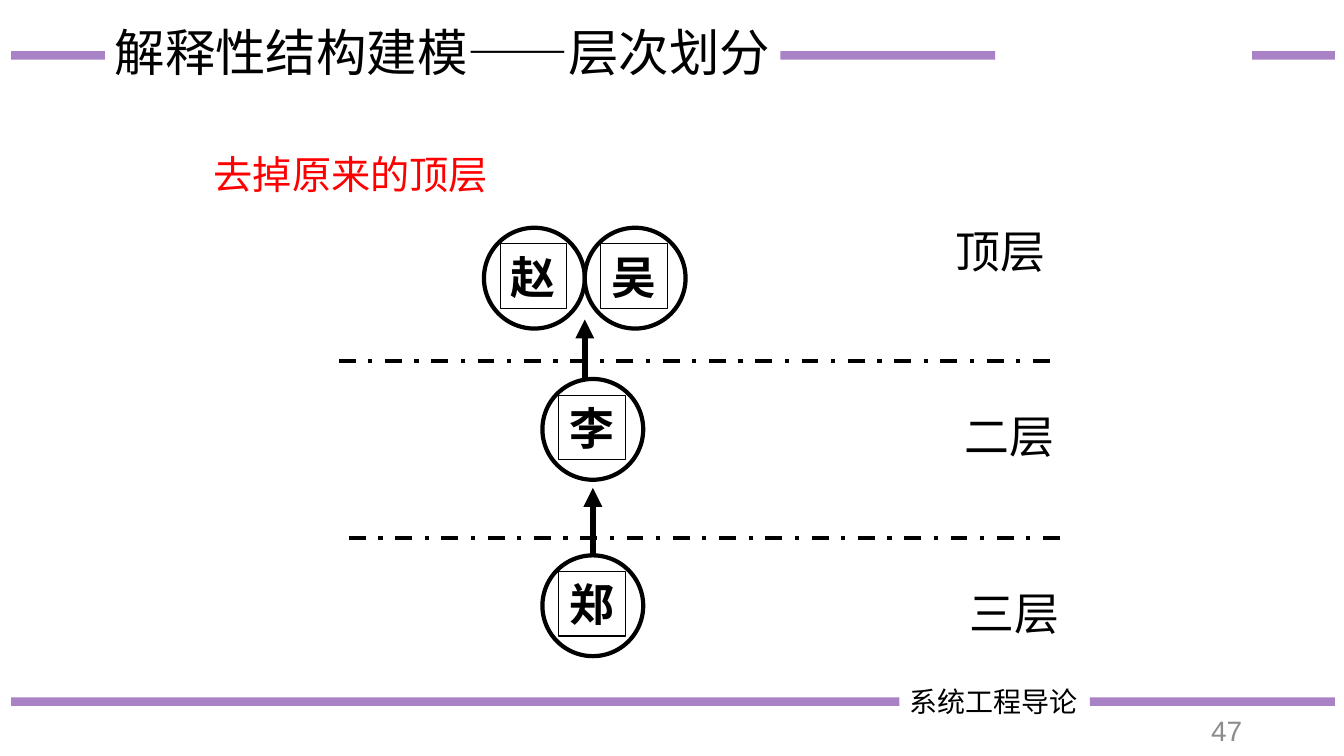
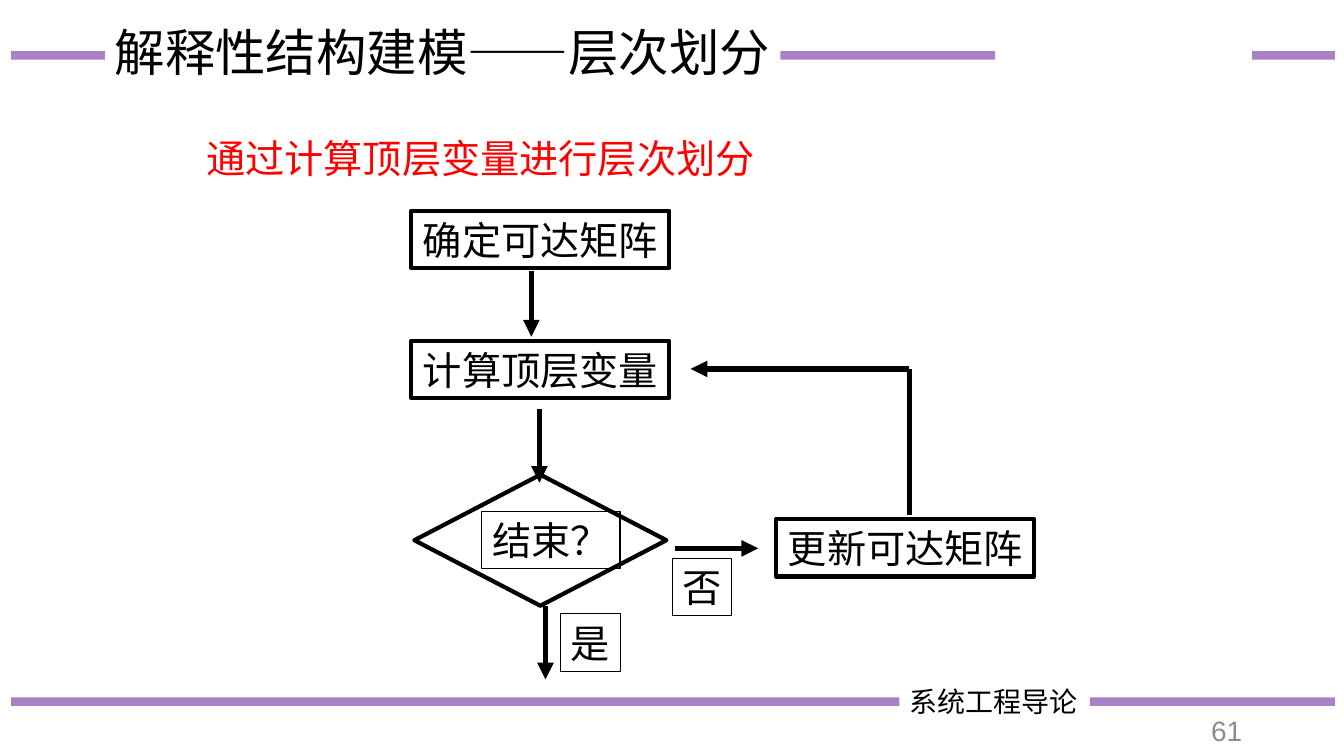
from pptx import Presentation
from pptx.dml.color import RGBColor
from pptx.enum.dml import MSO_LINE
from pptx.enum.shapes import MSO_CONNECTOR, MSO_SHAPE
from pptx.enum.text import MSO_ANCHOR, PP_ALIGN
from pptx.oxml.ns import qn
from pptx.util import Inches, Pt
from lxml.etree import SubElement

# Shared look
CJK_FONT = "Noto Sans CJK SC"
NUMBER_FONT = "Arial"
BLACK, RED, GREY, PURPLE = "000000", "FF0000", "8C8C8C", "7030A0"
TITLE = "解释性结构建模——层次划分"
COURSE = "系统工程导论"
TITLE_Y, FOOTER_Y = 0.55, 6.96
BANDS = [
    (0.11, 1.04, TITLE_Y), (7.74, 9.87, TITLE_Y), (12.42, 13.24, TITLE_Y),
    (0.11, 8.92, FOOTER_Y), (10.81, 13.24, FOOTER_Y),
]


def color(hex_string):
    return RGBColor.from_string(hex_string)


def write(shape, text, size, ink=BLACK, font=CJK_FONT, bold=False,
          align=PP_ALIGN.CENTER, wrap=False):
    frame = shape.text_frame
    frame.text = text
    frame.word_wrap = wrap
    frame.vertical_anchor = MSO_ANCHOR.MIDDLE
    paragraph = frame.paragraphs[0]
    paragraph.alignment = align
    for run in paragraph.runs:
        run.font.size = Pt(size)
        run.font.bold = bold
        run.font.color.rgb = color(ink)
        run.font.name = font
        SubElement(run.font._element, qn("a:ea")).set("typeface", font)
    return paragraph


def add_label(slide, box, text, size, **style):
    label = slide.shapes.add_textbox(*map(Inches, box))
    return write(label, text, size, **style)


def add_outline(slide, kind, box, width, text="", size=28, bold=False):
    outline = slide.shapes.add_shape(kind, *map(Inches, box))
    outline.shadow.inherit = False
    outline.fill.background()
    outline.line.color.rgb = color(BLACK)
    outline.line.width = Pt(width)
    if text:
        write(outline, text, size, bold=bold)
    return outline


def add_line(slide, start, end, width, ink=BLACK, dash=None, opacity=None,
             arrow=False):
    line = slide.shapes.add_connector(
        MSO_CONNECTOR.STRAIGHT, *map(Inches, (*start, *end)))
    line.line.color.rgb = color(ink)
    line.line.width = Pt(width)
    if dash:
        line.line.dash_style = dash
    properties = line._element.spPr
    if opacity:
        rgb = properties.find(".//" + qn("a:srgbClr"))
        SubElement(rgb, qn("a:alpha")).set("val", str(opacity * 1000))
    if arrow:
        SubElement(properties.find(qn("a:ln")), qn("a:tailEnd")).set("type", "triangle")
    SubElement(properties, qn("a:effectLst"))
    return line


def add_person(slide, left, top, name):
    circle = add_outline(slide, MSO_SHAPE.OVAL, (left, top, 1, 1), 3)
    add_outline(slide, MSO_SHAPE.RECTANGLE, (left + 0.16, top + 0.16, 0.66, 0.64),
                0.75, name, size=32, bold=True)
    return circle


def add_page(deck, number):
    slide = deck.slides.add_slide(deck.slide_layouts[6])
    for left, right, y in BANDS:
        add_line(slide, (left, y), (right, y), 6, PURPLE, opacity=60)
    add_label(slide, (8.92, 6.74, 2.56, 0.44), COURSE, 20,
              align=PP_ALIGN.LEFT, wrap=True)
    title = add_label(slide, (1.04, -0.18, 6.7, 1.45), TITLE, 36, align=PP_ALIGN.LEFT)
    title.line_spacing = 0.9
    add_label(slide, (11.69, 7.05, 0.73, 0.4), str(number), 20, ink=GREY,
              font=NUMBER_FONT, align=PP_ALIGN.RIGHT, wrap=True)
    return slide


def build_levels(deck):
    slide = add_page(deck, 47)
    add_label(slide, (2.02, 1.44, 2.92, 0.57), "去掉原来的顶层", 28, ink=RED)

    # People by level
    add_person(slide, 4.8, 2.26, "赵")
    add_person(slide, 5.8, 2.26, "吴")
    add_person(slide, 5.38, 3.76, "李")
    zheng = add_person(slide, 5.38, 5.51, "郑")
    add_line(slide, (5.8, 3.76), (5.8, 3.17), 4.5, arrow=True)
    zheng_arrow = add_line(slide, (5.88, 5.51), (5.88, 4.84), 4.5, arrow=True)
    zheng_arrow.begin_connect(zheng, 0)

    # Level borders and names
    for left, y in [(3.36, 3.58), (3.46, 5.34)]:
        add_line(slide, (left, y), (left + 7.17, y), 3, dash=MSO_LINE.DASH_DOT)
    for left, top, level in [(9.38, 2.17, "顶层"), (9.47, 4.01, "二层"),
                             (9.52, 5.76, "三层")]:
        add_label(slide, (left, top, 1.09, 0.63), level, 32)


def build_procedure(deck):
    slide = add_page(deck, 61)
    add_label(slide, (1.94, 1.28, 5.65, 0.57), "通过计算顶层变量进行层次划分", 28, ink=RED)

    # Steps and decision
    for left, top, step in [(4.08, 2.09, "确定可达矩阵"), (4.08, 3.38, "计算顶层变量"),
                            (7.7, 5.15, "更新可达矩阵")]:
        add_outline(slide, MSO_SHAPE.RECTANGLE, (left, top, 2.56, 0.57), 3, step)
    add_outline(slide, MSO_SHAPE.DIAMOND, (4.11, 4.71, 2.5, 1.3), 3)
    for left, top, width, text in [(4.78, 5.07, 1.37, "结束？"), (5.56, 6.09, 0.59, "是"),
                                   (6.67, 5.54, 0.59, "否")]:
        add_outline(slide, MSO_SHAPE.RECTANGLE, (left, top, width, 0.57), 0.75, text)

    # Flow, with the loop back to the calculation
    corner = (9.02, 3.66)
    for start, end in [((5.27, 2.69), (5.27, 3.34)), ((5.35, 4.06), (5.35, 4.79)),
                       ((5.41, 6.01), (5.41, 6.74)), ((6.69, 5.44), (7.52, 5.44)),
                       (corner, (6.85, 3.66))]:
        add_line(slide, start, end, 4, arrow=True)
    add_line(slide, (9.02, 5.11), corner, 4)


def main():
    deck = Presentation()
    deck.slide_width, deck.slide_height = Inches(13.33), Inches(7.5)
    build_levels(deck)
    build_procedure(deck)
    deck.save("out.pptx")


if __name__ == "__main__":
    main()
